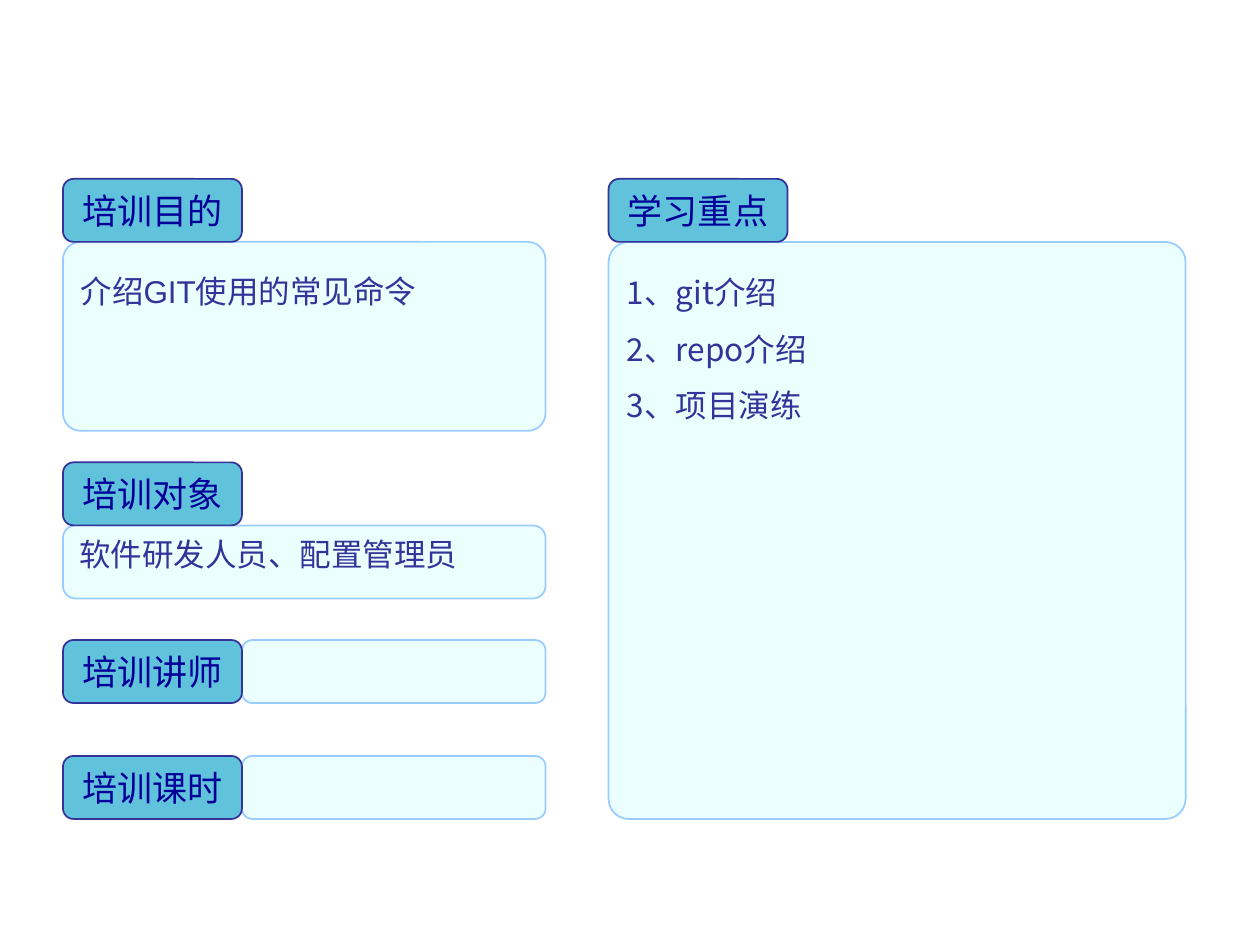
import pptx
import pptx.dml.color
import pptx.enum.shapes
import pptx.enum.text
import pptx.oxml.ns
import pptx.util
from lxml import etree

Inches = pptx.util.Inches
ALIGN = pptx.enum.text.PP_ALIGN
ANCHOR = pptx.enum.text.MSO_ANCHOR

COLORS = {
    "panel": "CCFFFF", "panel_line": "99CCFF", "panel_text": "333399",
    "label": "35B3D1", "label_line": "333399", "label_text": "000099",
}
CJK_FONT = "Noto Sans CJK SC"
LABEL_WIDTH, LABEL_HEIGHT = 1.42, 0.5
LEFT_X, LEFT_WIDTH = 0.5, 3.83
RIGHT_X, RIGHT_WIDTH = 4.83, 4.58

# Sections whose panel hangs below the label
STACKED = [
    dict(label="培训目的", x=LEFT_X, y=1.42, width=LEFT_WIDTH, height=1.5,
         radius=0.14, font="Arial", spacing=1.5, lines=["介绍GIT使用的常见命令"]),
    dict(label="培训对象", x=LEFT_X, y=3.67, width=LEFT_WIDTH, height=0.58,
         radius=0.1, font="Arial", spacing=1.0, lines=["软件研发人员、配置管理员"]),
    dict(label="学习重点", x=RIGHT_X, y=1.42, width=RIGHT_WIDTH, height=4.58,
         radius=0.16, font=CJK_FONT, spacing=1.5,
         lines=["1、git介绍", "2、repo介绍", "3、项目演练"]),
]
# Sections whose empty panel sits beside the label
INLINE = [("培训讲师", 5.08), ("培训课时", 6.0)]

PANEL = dict(role="panel", opacity=39, size=18, align=ALIGN.LEFT,
             anchor=ANCHOR.TOP, wrap=True)
LABEL = dict(role="label", opacity=78, size=20, align=ALIGN.CENTER,
             anchor=ANCHOR.MIDDLE, wrap=False)


def rgb(name):
    return pptx.dml.color.RGBColor.from_string(COLORS[name])


def add_box(slide, style, x, y, width, height, radius, lines=(),
            font="Arial", spacing=1.0):
    role = style["role"]
    box = slide.shapes.add_shape(
        pptx.enum.shapes.MSO_SHAPE.ROUNDED_RECTANGLE,
        Inches(x), Inches(y), Inches(width), Inches(height))
    box.adjustments[0] = radius / min(width, height)
    box.shadow.inherit = False
    box.fill.solid()
    box.fill.fore_color.rgb = rgb(role)
    color = box.fill._xPr.find(".//" + pptx.oxml.ns.qn("a:srgbClr"))
    etree.SubElement(color, pptx.oxml.ns.qn("a:alpha"),
                     val=str(style["opacity"] * 1000))
    box.line.color.rgb = rgb(role + "_line")
    box.line.width = pptx.util.Pt(1)

    frame = box.text_frame
    frame.word_wrap = style["wrap"]
    frame.vertical_anchor = style["anchor"]
    for index, line in enumerate(lines):
        para = frame.add_paragraph() if index else frame.paragraphs[0]
        para.alignment = style["align"]
        para.line_spacing = spacing
        span = para.add_run()
        span.text = line
        values = dict(name=font, size=pptx.util.Pt(style["size"]))
        for key, value in values.items():
            setattr(span.font, key, value)
        span.font.color.rgb = rgb(role + "_text")
        etree.SubElement(span.font._element, pptx.oxml.ns.qn("a:ea"),
                         typeface=CJK_FONT)


def main():
    deck = pptx.Presentation()
    deck.slide_width, deck.slide_height = Inches(10), Inches(7.5)
    slide = deck.slides.add_slide(deck.slide_layouts[6])

    # Panels
    for part in STACKED:
        add_box(slide, PANEL, part["x"], part["y"] + LABEL_HEIGHT,
                part["width"], part["height"], part["radius"],
                part["lines"], part["font"], part["spacing"])
    for _, y in INLINE:
        add_box(slide, PANEL, LEFT_X + LABEL_WIDTH, y,
                LEFT_WIDTH - LABEL_WIDTH, LABEL_HEIGHT, LABEL_HEIGHT / 6)

    # Labels on top of the panels
    labels = [(part["label"], part["x"], part["y"]) for part in STACKED]
    labels += [(text, LEFT_X, y) for text, y in INLINE]
    for text, x, y in labels:
        add_box(slide, LABEL, x, y, LABEL_WIDTH, LABEL_HEIGHT,
                LABEL_HEIGHT / 6, [text])

    deck.save("out.pptx")


if __name__ == "__main__":
    main()
